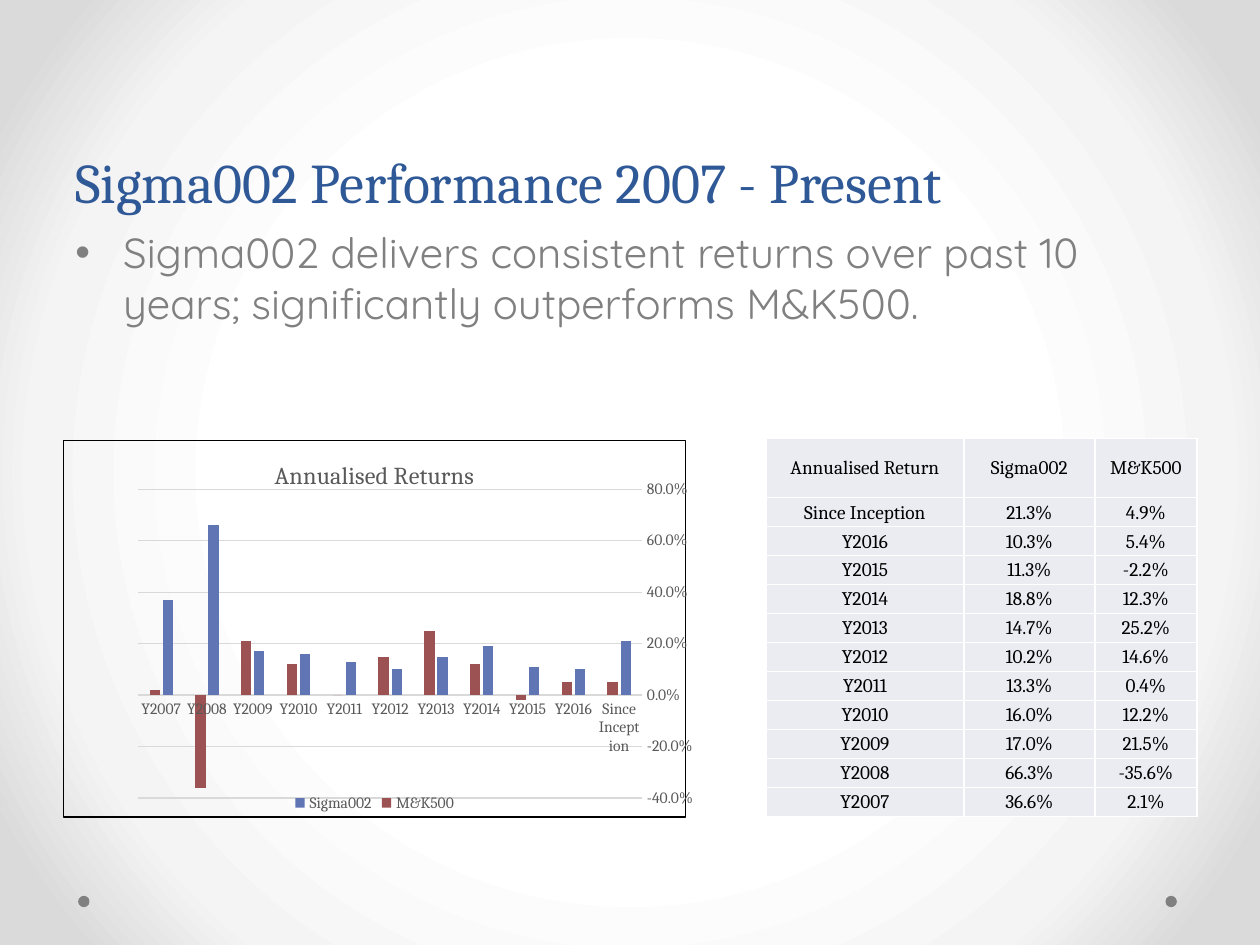
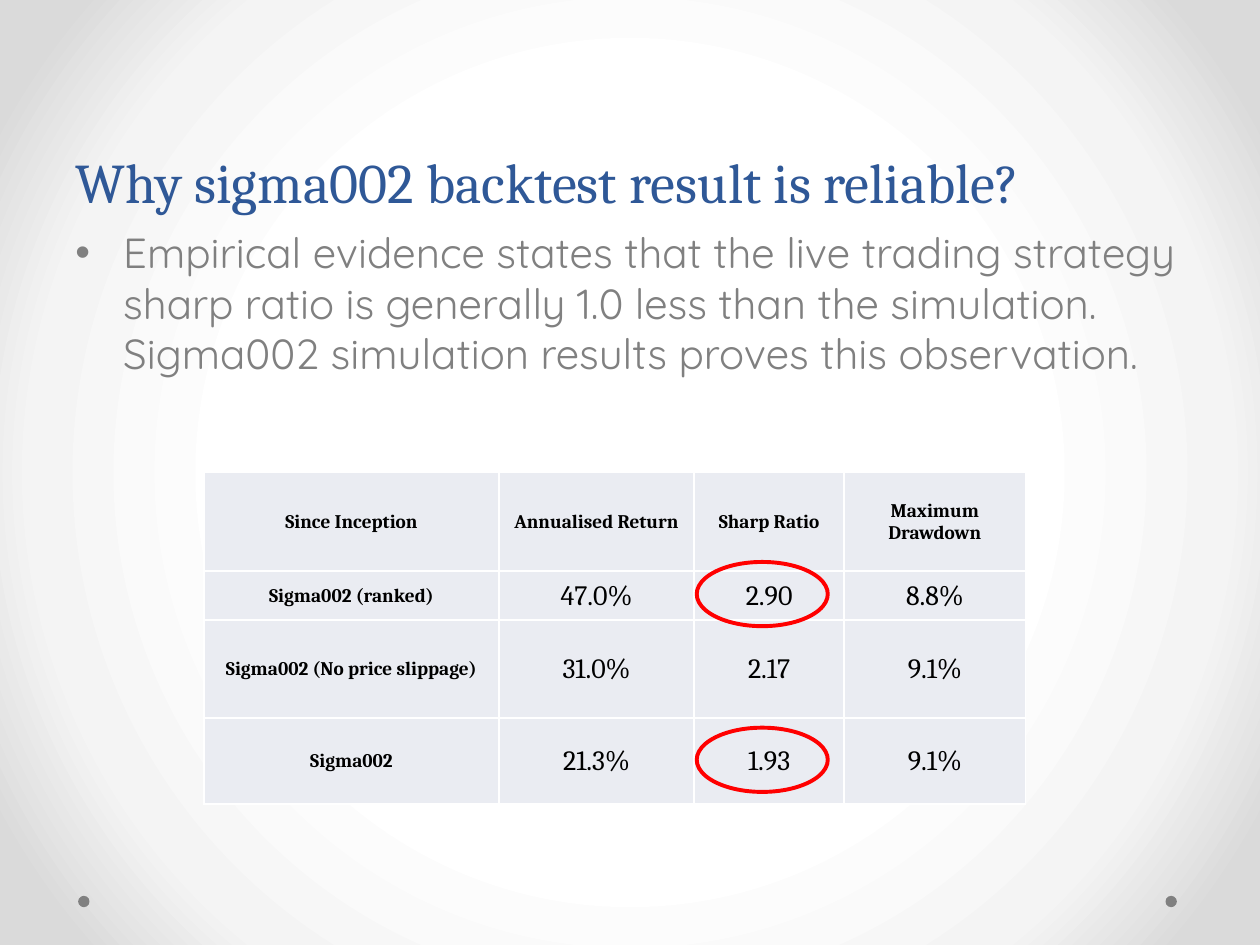
from lxml import etree
from pptx import Presentation
from pptx.chart.data import CategoryChartData
from pptx.dml.color import RGBColor
from pptx.enum.chart import XL_CHART_TYPE, XL_LEGEND_POSITION, XL_TICK_MARK
from pptx.enum.shapes import MSO_SHAPE
from pptx.enum.text import MSO_ANCHOR, PP_ALIGN
from pptx.oxml import parse_xml
from pptx.oxml.ns import nsdecls, qn
from pptx.util import Inches, Pt

COLUMNS = XL_CHART_TYPE.COLUMN_CLUSTERED
LEGEND_BOTTOM = XL_LEGEND_POSITION.BOTTOM
NO_TICKS = XL_TICK_MARK.NONE
OVAL = MSO_SHAPE.OVAL
TOP, MIDDLE, BOTTOM = MSO_ANCHOR.TOP, MSO_ANCHOR.MIDDLE, MSO_ANCHOR.BOTTOM
CENTER = PP_ALIGN.CENTER

TITLE_BLUE = RGBColor(0x2F, 0x58, 0x97)
GRAY = RGBColor(0x80, 0x80, 0x80)
CHART_GRAY = RGBColor(0x59, 0x59, 0x59)
GRID_GRAY = RGBColor(0xD9, 0xD9, 0xD9)
BLACK = RGBColor(0x00, 0x00, 0x00)
WHITE = RGBColor(0xFF, 0xFF, 0xFF)
CELL_FILL = RGBColor(0xEA, 0xEC, 0xF2)
SIGMA_BLUE = RGBColor(0x60, 0x76, 0xB4)
INDEX_RED = RGBColor(0x9C, 0x52, 0x52)
HIGHLIGHT_RED = RGBColor(0xFF, 0x00, 0x00)
BACKDROP_STOPS = [(50, WHITE), (76, RGBColor(0xF4, 0xF4, 0xF4)),
                  (92, RGBColor(0xDA, 0xDA, 0xDA))]

SERIF, SANS = "Cambria", "Quicksand"
SLIDE_W, SLIDE_H = 10, 7.5
MARGIN = 0.5
CONTENT_W = SLIDE_W - 2 * MARGIN
TITLE_H = 1.75
BODY_H = 4.95
DOT = 0.09
BULLET_INDENT = 0.38

STRATEGY, INDEX = "Sigma002", "M&K500"
# Period, strategy return and index return in percent
RETURNS = [
    ("Since Inception", 21.3, 4.9),
    ("Y2016", 10.3, 5.4),
    ("Y2015", 11.3, -2.2),
    ("Y2014", 18.8, 12.3),
    ("Y2013", 14.7, 25.2),
    ("Y2012", 10.2, 14.6),
    ("Y2011", 13.3, 0.4),
    ("Y2010", 16.0, 12.2),
    ("Y2009", 17.0, 21.5),
    ("Y2008", 66.3, -35.6),
    ("Y2007", 36.6, 2.1),
]
BACKTESTS = [
    ("Since Inception", "Annualised Return", "Sharp Ratio", "Maximum Drawdown"),
    ("Sigma002 (ranked)", "47.0%", "2.90", "8.8%"),
    ("Sigma002 (No price slippage)", "31.0%", "2.17", "9.1%"),
    ("Sigma002", "21.3%", "1.93", "9.1%"),
]


def inches(*lengths):
    return [Inches(length) for length in lengths]


def style_font(font, size, color, name=SERIF, bold=False):
    font.size, font.name, font.bold = Pt(size), name, bold
    font.color.rgb = color


def paint_backdrop(master):
    """Give every slide a radial gradient from white to gray corners."""
    fill = master.background.fill
    fill.solid()
    stops = "".join(f'<a:gs pos="{share * 1000}"><a:srgbClr val="{color}"/></a:gs>'
                    for share, color in BACKDROP_STOPS)
    gradient = parse_xml(
        f'<a:gradFill {nsdecls("a")} rotWithShape="1"><a:gsLst>{stops}</a:gsLst>'
        '<a:path path="circle"><a:fillToRect l="50000" t="50000" r="50000" b="50000"/>'
        '</a:path></a:gradFill>')
    solid = next(master.element.iter(qn("p:bgPr"))).find(qn("a:solidFill"))
    solid.getparent().replace(solid, gradient)


def add_oval(slide, left, top, width, height):
    oval = slide.shapes.add_shape(OVAL, *inches(left, top, width, height))
    oval.shadow.inherit = False
    return oval


def add_corner_dots(slide):
    for left in (9.25, 0.62):
        dot = add_oval(slide, left, 7.11, DOT, DOT)
        dot.fill.solid()
        dot.fill.fore_color.rgb = GRAY
        dot.line.fill.background()


def add_text(slide, text, top, height, anchor):
    box = slide.shapes.add_textbox(*inches(MARGIN, top, CONTENT_W, height))
    frame = box.text_frame
    frame.word_wrap = True
    frame.vertical_anchor = anchor
    frame.text = text
    return frame.paragraphs[0]


def add_title(slide, text):
    paragraph = add_text(slide, text, 0, TITLE_H, BOTTOM)
    paragraph.line_spacing = Pt(58)
    style_font(paragraph.runs[0].font, 32, TITLE_BLUE)


def add_bullet(slide, text):
    paragraph = add_text(slide, text, TITLE_H, BODY_H, TOP)
    paragraph.space_before = Pt(4.8)
    style_font(paragraph.runs[0].font, 24, GRAY, SANS)
    properties = paragraph._p.get_or_add_pPr()
    properties.set("marL", str(Inches(BULLET_INDENT)))
    properties.set("indent", str(-Inches(BULLET_INDENT)))
    etree.SubElement(properties, qn("a:buFont"), typeface="Arial")
    etree.SubElement(properties, qn("a:buChar"), char="•")


def start_slide(prs, title, statement):
    slide = prs.slides.add_slide(prs.slide_layouts[6])
    add_corner_dots(slide)
    add_title(slide, title)
    add_bullet(slide, statement)
    return slide


def border_cell(cell):
    properties = cell._tc.get_or_add_tcPr()
    for side in "LRTB":
        properties.append(parse_xml(
            f'<a:ln{side} {nsdecls("a")} w="{Pt(1)}"><a:solidFill>'
            f'<a:srgbClr val="{WHITE}"/></a:solidFill></a:ln{side}>'))


def fill_cell(cell, text, size, bold):
    border_cell(cell)
    cell.fill.solid()
    cell.fill.fore_color.rgb = CELL_FILL
    cell.margin_left = cell.margin_right = cell.margin_top = Inches(0.01)
    cell.margin_bottom = 0
    cell.vertical_anchor = MIDDLE
    cell.text_frame.text = text
    paragraph = cell.text_frame.paragraphs[0]
    paragraph.alignment = CENTER
    style_font(paragraph.runs[0].font, size, BLACK, bold=bold)


def add_grid(slide, rows, left, top, widths, heights, value_size=11, bold_labels=False):
    """Add a table; its first row and first column hold the labels."""
    table = slide.shapes.add_table(
        len(rows), len(widths), *inches(left, top, sum(widths), sum(heights))).table
    table.first_row = table.horz_banding = False
    for column, width in zip(table.columns, widths):
        column.width = Inches(width)
    for r, (texts, height) in enumerate(zip(rows, heights)):
        table.rows[r].height = Inches(height)
        for c, text in enumerate(texts):
            is_label = r == 0 or c == 0
            fill_cell(table.cell(r, c), text, 11 if is_label else value_size,
                      is_label and bold_labels)


def format_axis(axis):
    axis.major_tick_mark = axis.minor_tick_mark = NO_TICKS
    style_font(axis.tick_labels.font, 9, CHART_GRAY)


def draw_line(line, color):
    line.color.rgb = color
    line.width = Pt(0.75)


def frame_chart(chart, x, y, width, height):
    """Draw the chart's border and fix its plot at shares of the chart's size."""
    area = chart.element.find(qn("c:chart"))
    area.addnext(parse_xml(
        f'<c:spPr {nsdecls("c", "a")}><a:noFill/><a:ln w="{Pt(0.75)}"><a:solidFill>'
        f'<a:srgbClr val="{BLACK}"/></a:solidFill></a:ln></c:spPr>'))
    plot_area = area.find(qn("c:plotArea"))
    for layout in plot_area.findall(qn("c:layout")):
        plot_area.remove(layout)
    settings = [("layoutTarget", "inner"), ("xMode", "edge"), ("yMode", "edge"),
                ("x", x), ("y", y), ("w", width), ("h", height)]
    manual = "".join(f'<c:{tag} val="{value}"/>' for tag, value in settings)
    plot_area.insert(0, parse_xml(
        f'<c:layout {nsdecls("c")}><c:manualLayout>{manual}</c:manualLayout></c:layout>'))


def add_returns_chart(slide):
    periods, strategy, index = zip(*RETURNS)
    data = CategoryChartData(number_format="0.0%")
    data.categories = periods
    for name, percents in ((STRATEGY, strategy), (INDEX, index)):
        data.add_series(name, [round(percent / 100, 2) for percent in percents])
    chart = slide.shapes.add_chart(COLUMNS, *inches(MARGIN, 3.49, 5, 3), data).chart
    style_font(chart.font, 10, BLACK)

    chart.has_title = True
    chart.chart_title.text_frame.text = "Annualised Returns"
    style_font(chart.chart_title.text_frame.paragraphs[0].runs[0].font, 14, CHART_GRAY)
    chart.has_legend = True
    chart.legend.position = LEGEND_BOTTOM
    chart.legend.include_in_layout = False
    style_font(chart.legend.font, 9, CHART_GRAY)

    years, scale = chart.category_axis, chart.value_axis
    format_axis(years)
    years.reverse_order = True
    draw_line(years.format.line, GRID_GRAY)
    format_axis(scale)
    scale.minimum_scale, scale.maximum_scale, scale.major_unit = -0.4, 0.8, 0.2
    scale.tick_labels.number_format = "0.0%"
    scale.tick_labels.number_format_is_linked = False
    scale.format.line.fill.background()
    draw_line(scale.major_gridlines.format.line, GRID_GRAY)

    bars = chart.plots[0]
    bars.gap_width, bars.overlap, bars.vary_by_categories = 219, -27, False
    for series, color in zip(bars.series, (SIGMA_BLUE, INDEX_RED)):
        series.invert_if_negative = False
        series.format.fill.solid()
        series.format.fill.fore_color.rgb = color
    frame_chart(chart, 0.12, 0.13, 0.81, 0.82)


def add_returns_table(slide):
    rows = [("Annualised Return", STRATEGY, INDEX)]
    rows += [(period, f"{strategy}%", f"{index}%") for period, strategy, index in RETURNS]
    add_grid(slide, rows, 6.08, 3.48, [1.57, 1.04, 0.81], [0.47] + [0.23] * len(RETURNS))


def add_backtest_table(slide):
    left, top = 1.62, 3.75
    widths, heights = [2.34, 1.55, 1.19, 1.44], [0.78, 0.39, 0.78, 0.68]
    add_grid(slide, BACKTESTS, left, top, widths, heights, value_size=16, bold_labels=True)
    ring_w, ring_h = 1.04, 0.51
    for row in (1, 3):
        row_middle = top + sum(heights[:row]) + heights[row] / 2
        ring = add_oval(slide, left + sum(widths[:2]) + 0.02,
                        row_middle - ring_h / 2 - 0.01, ring_w, ring_h)
        ring.fill.background()
        ring.line.color.rgb = HIGHLIGHT_RED
        ring.line.width = Pt(2.25)


def main():
    prs = Presentation()
    prs.slide_width, prs.slide_height = inches(SLIDE_W, SLIDE_H)
    paint_backdrop(prs.slide_master)

    performance = start_slide(
        prs, f"{STRATEGY} Performance 2007 - Present",
        f"{STRATEGY} delivers consistent returns over past 10 years; "
        f"significantly outperforms {INDEX}.")
    add_returns_chart(performance)
    add_returns_table(performance)

    reliability = start_slide(
        prs, "Why sigma002 backtest result is reliable?",
        "Empirical evidence states that the live trading strategy sharp ratio is "
        "generally 1.0 less than the simulation. Sigma002 simulation results proves "
        "this observation.")
    add_backtest_table(reliability)

    prs.save("out.pptx")


if __name__ == "__main__":
    main()
